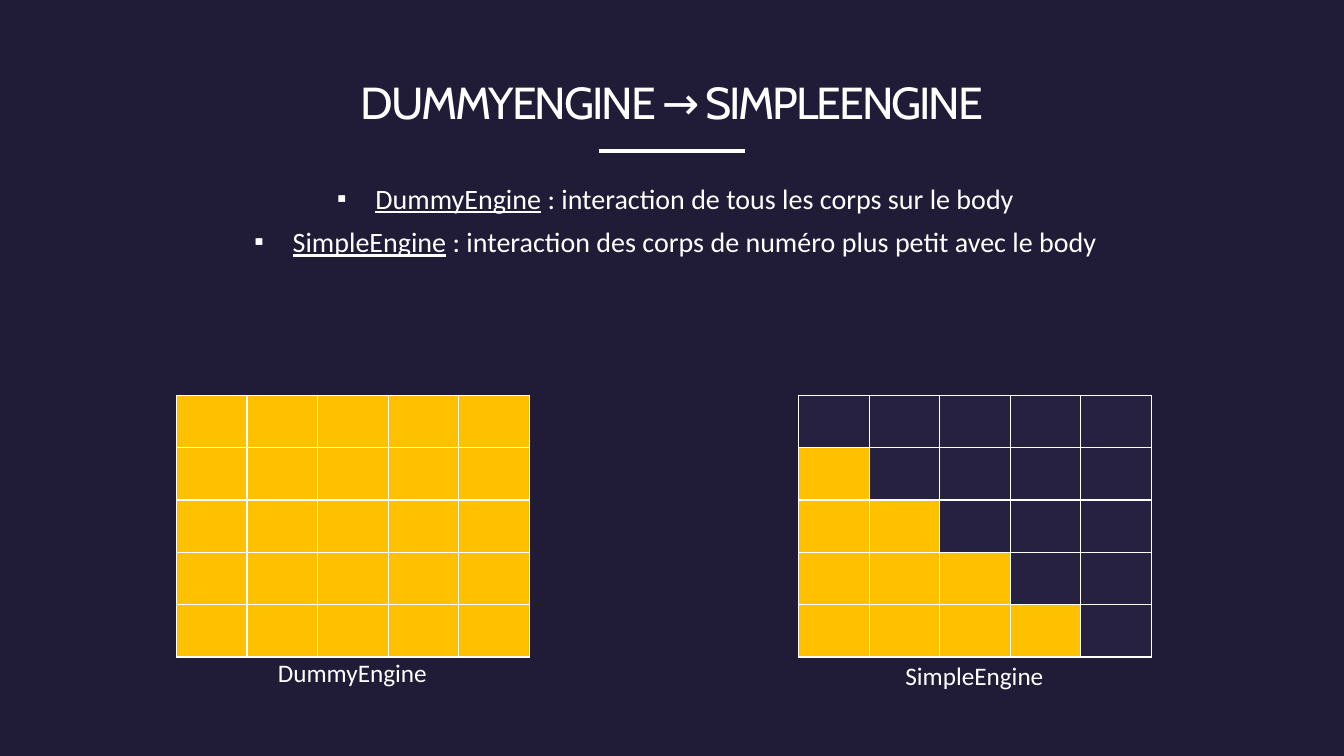
from lxml import etree
from pptx import Presentation
from pptx import util as u
from pptx.dml.color import RGBColor
from pptx.enum import shapes, text
from pptx.oxml import ns

PX = 9144  # 100 px to the inch
NIGHT, VEIL, GOLD, WHITE = "262140", "1D1A32", "FFC000", "FFFFFF"
GRID_SIZE, CELL_WIDTH, CELL_HEIGHT, GRID_TOP = 5, 70, 52, 392


def px(*lengths):
    return [u.Emu(length * PX) for length in lengths]


def paint(fill, color):
    fill.solid()
    fill.fore_color.rgb = RGBColor.from_string(color)


def add_element(parent, tag, **attributes):
    return etree.SubElement(parent, ns.qn(tag), attributes)


def add_veil(slide, width, height):
    shape = slide.shapes.add_shape(shapes.MSO_SHAPE.RECTANGLE, 0, 0, width, height)
    shape.shadow.inherit = False
    shape.line.fill.background()
    paint(shape.fill, VEIL)
    color = shape.fill._xPr.find(".//" + ns.qn("a:srgbClr"))
    add_element(color, "a:alpha", val="62000")


def add_rule(slide, left, right, top):
    connector = slide.shapes.add_connector(
        shapes.MSO_CONNECTOR.STRAIGHT, *px(left, top, right, top))
    connector.line.width = u.Pt(3)
    paint(connector.line.fill, WHITE)
    add_element(connector._element.spPr, "a:effectLst")


def style_run(run, size, font="Calibri"):
    run.font.size = u.Pt(size)
    run.font.name = font
    run.font.color.rgb = RGBColor.from_string(WHITE)


def add_text(slide, box, content, size, font="Calibri"):
    text_frame = slide.shapes.add_textbox(*px(*box)).text_frame
    text_frame.word_wrap = True
    text_frame.text = content
    for paragraph in text_frame.paragraphs:
        paragraph.alignment = text.PP_ALIGN.CENTER
        for run in paragraph.runs:
            style_run(run, size, font)
    return text_frame


def add_title(slide, box, content):
    text_frame = add_text(slide, box, content, 32, "Cabin")
    text_frame.vertical_anchor = text.MSO_ANCHOR.MIDDLE
    text_frame.paragraphs[0].runs[0].font._element.set("spc", "-150")


def add_definitions(slide, box, definitions):
    text_frame = add_text(slide, box, "\n".join(term for term, _ in definitions), 20)
    for index, (paragraph, (_, meaning)) in enumerate(
            zip(text_frame.paragraphs, definitions)):
        paragraph.runs[0].font.underline = True
        run = paragraph.add_run()
        run.text = f" : {meaning}"
        style_run(run, 20)
        if index:
            paragraph.space_before = u.Pt(7)
        properties = paragraph._p.get_or_add_pPr()
        properties.set("marL", str(45 * PX))
        properties.set("indent", str(-38 * PX))
        add_element(properties, "a:buSzPct", val="95000")
        add_element(properties, "a:buFont", typeface="Wingdings 2")
        properties[-1].set("typeface", "Calibri")
        add_element(properties, "a:buChar", char="▪")


def add_borders(cell):
    properties = cell._tc.get_or_add_tcPr()
    for side in ("a:lnL", "a:lnR", "a:lnT", "a:lnB"):
        line = add_element(properties, side, w=str(u.Pt(1)))
        add_element(add_element(line, "a:solidFill"), "a:srgbClr", val=WHITE)


def add_grid(slide, left, is_computed):
    table = slide.shapes.add_table(
        GRID_SIZE, GRID_SIZE,
        *px(left, GRID_TOP, GRID_SIZE * CELL_WIDTH, GRID_SIZE * CELL_HEIGHT)).table
    for row in range(GRID_SIZE):
        for column in range(GRID_SIZE):
            cell = table.cell(row, column)
            add_borders(cell)
            paint(cell.fill, GOLD if is_computed(row, column) else NIGHT)


def main():
    presentation = Presentation()
    presentation.slide_width, presentation.slide_height = px(1333, 750)
    slide = presentation.slides.add_slide(presentation.slide_layouts[6])

    # Background and heading
    paint(slide.background.fill, NIGHT)
    add_veil(slide, presentation.slide_width, presentation.slide_height)
    add_rule(slide, 594, 739, 150)
    add_title(slide, (100, 67, 1133, 67), "DUMMYENGINE → SIMPLEENGINE")

    # Engine definitions
    add_definitions(slide, (100, 175, 1133, 500), [
        ("DummyEngine", "interaction de tous les corps sur le body"),
        ("SimpleEngine", "interaction des corps de numéro plus petit avec le body"),
    ])

    # Interaction grids with captions
    add_grid(slide, 175, lambda row, column: True)
    add_grid(slide, 792, lambda row, column: column < row)
    add_text(slide, (825, 650, 283, 40), "SimpleEngine", 18)
    add_text(slide, (208, 647, 283, 40), "DummyEngine", 18)

    presentation.save("out.pptx")


if __name__ == "__main__":
    main()
